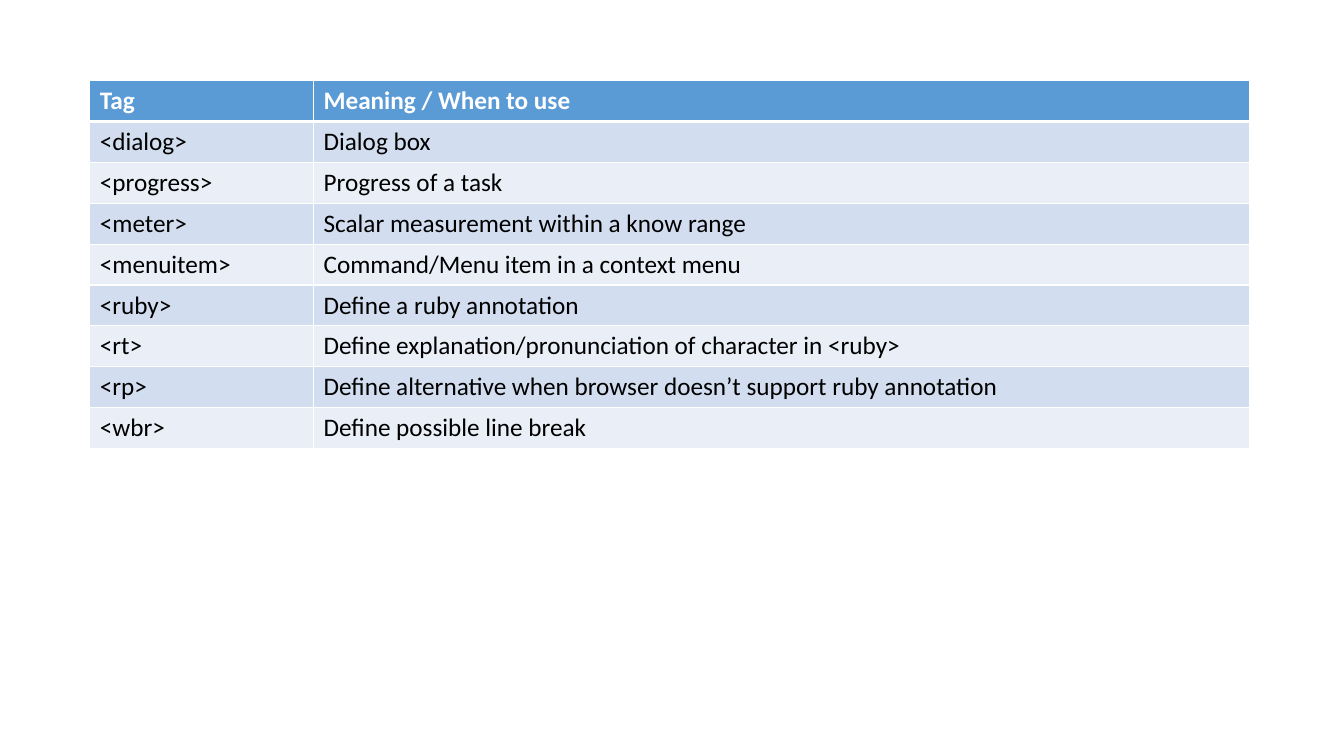
"""Build a slide with a table of HTML tags and their meanings."""
from pptx import Presentation
from pptx.dml.color import RGBColor
from pptx.oxml.ns import qn
from pptx.util import Inches, Pt
from lxml.etree import SubElement

WHITE = RGBColor(0xFF, 0xFF, 0xFF)
BLACK = RGBColor(0x00, 0x00, 0x00)
HEADER_BLUE = RGBColor(0x5B, 0x9B, 0xD5)
BANDS = [RGBColor(0xEA, 0xEF, 0xF7), RGBColor(0xD2, 0xDE, 0xEF)]

TAG_ROWS = [
    ("Tag", "Meaning / When to use"),
    ("<dialog>", "Dialog box"),
    ("<progress>", "Progress of a task"),
    ("<meter>", "Scalar measurement within a know range"),
    ("<menuitem>", "Command/Menu item in a context menu"),
    ("<ruby>", "Define a ruby annotation"),
    ("<rt>", "Define explanation/pronunciation of character in <ruby>"),
    ("<rp>", "Define alternative when browser doesn’t support ruby annotation"),
    ("<wbr>", "Define possible line break"),
]


def add_border(cell, side, width):
    properties = cell._tc.get_or_add_tcPr()
    line = SubElement(properties, qn(f"a:ln{side}"), w=str(Pt(width)))
    fill = SubElement(line, qn("a:solidFill"))
    SubElement(fill, qn("a:srgbClr"), val=str(WHITE))


deck = Presentation()
deck.slide_width = Inches(13.33)
deck.slide_height = Inches(7.5)
slide = deck.slides.add_slide(deck.slide_layouts[6])

frame = slide.shapes.add_table(
    len(TAG_ROWS), 2, Inches(0.89), Inches(0.8), Inches(11.5), Inches(3.65)
)
tag_table = frame.table
tag_table.columns[0].width = Inches(2.22)
tag_table.columns[1].width = Inches(9.28)

for row_index, texts in enumerate(TAG_ROWS):
    is_header = row_index == 0
    for column_index, text in enumerate(texts):
        cell = tag_table.cell(row_index, column_index)
        add_border(cell, "L", 1)
        add_border(cell, "R", 1)
        add_border(cell, "T", 3 if row_index == 1 else 1)
        add_border(cell, "B", 3 if is_header else 1)
        cell.fill.solid()
        cell.fill.fore_color.rgb = HEADER_BLUE if is_header else BANDS[row_index % 2]
        span = cell.text_frame.paragraphs[0].add_run()
        span.text = text
        span.font.name = "Calibri"
        span.font.size = Pt(18)
        span.font.bold = is_header
        span.font.color.rgb = WHITE if is_header else BLACK

deck.save("out.pptx")
